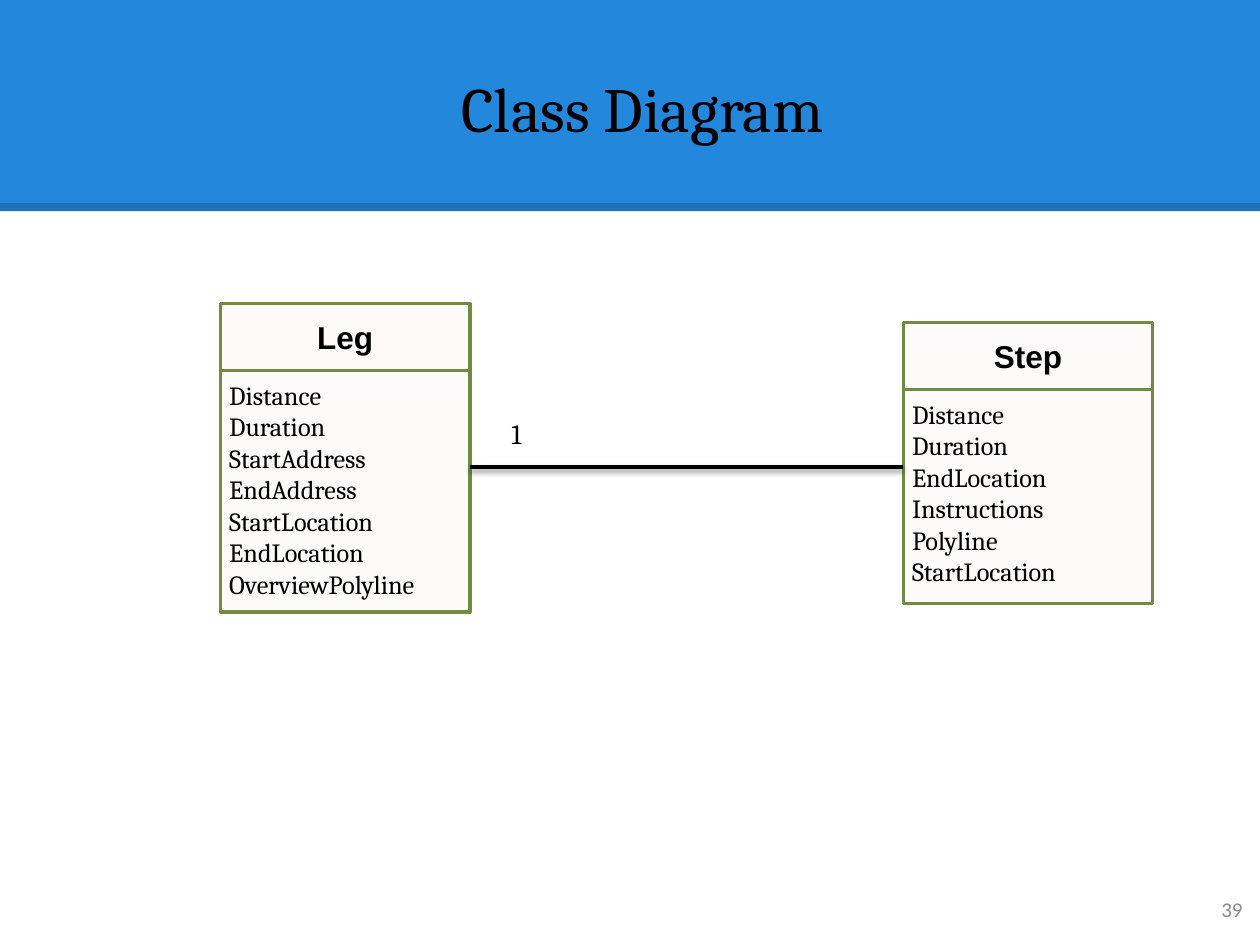
"""Build a class diagram slide that links Leg to Step."""
from lxml import etree
from pptx import Presentation
from pptx.dml.color import RGBColor
from pptx.enum import shapes, text
from pptx.oxml import ns
from pptx.util import Pt

COLOURS = {
    "banner": "2388DB",
    "black": "000000",
    "number": "8C8C8C",
    "class_fill": "FCFBF9",
    "class_line": "738A42",
}
CLASS_WIDTH = 142.5
HEADER_HEIGHT = 38.2
CLASSES = [
    ("Step", 516.2, 184.3, 122.4,
     ["Distance", "Duration", "EndLocation", "Instructions", "Polyline", "StartLocation"]),
    ("Leg", 126, 173.5, 138.2,
     ["Distance", "Duration", "StartAddress", "EndAddress", "StartLocation",
      "EndLocation", "OverviewPolyline"]),
]


def colour(name):
    """Return the named colour."""
    return RGBColor.from_string(COLOURS[name])


def write(shape, lines, size, font="Cambria", ink="black", bold=False,
          align=text.PP_ALIGN.LEFT, anchor=text.MSO_ANCHOR.TOP, inset=7.2, wrap=True):
    """Fill a shape with formatted lines of text."""
    frame = shape.text_frame
    frame.text = "\n".join(lines)
    frame.word_wrap = wrap
    frame.vertical_anchor = anchor
    frame.margin_left = frame.margin_right = Pt(inset)
    frame.margin_top = frame.margin_bottom = Pt(inset)
    for para in frame.paragraphs:
        para.alignment = align
        for span in para.runs:
            span.font.name = font
            span.font.size = Pt(size)
            span.font.bold = bold
            span.font.color.rgb = colour(ink)


def add_text(page, area, lines, size, **style):
    """Add a text box at the given left, top, width and height."""
    box = page.shapes.add_textbox(*map(Pt, area))
    write(box, lines, size, **style)
    return box


def add_box(parent, area, fill, line=None):
    """Add a flat rectangle, outlined if a line colour is given."""
    box = parent.shapes.add_shape(shapes.MSO_SHAPE.RECTANGLE, *map(Pt, area))
    box.shadow.inherit = False
    box.fill.solid()
    box.fill.fore_color.rgb = colour(fill)
    if line:
        box.line.color.rgb = colour(line)
        box.line.width = Pt(2)
    else:
        box.line.fill.background()
    return box


def add_class(page, name, left, top, height, attributes):
    """Add a grouped class with its attributes below its name."""
    group = page.shapes.add_group_shape()
    body = add_box(group, (left, top + HEADER_HEIGHT, CLASS_WIDTH, height),
                   "class_fill", "class_line")
    write(body, attributes, 15, inset=5)
    header = add_box(group, (left, top, CLASS_WIDTH, HEADER_HEIGHT),
                     "class_fill", "class_line")
    write(header, [name], 18, font="Arial", bold=True, inset=5,
          align=text.PP_ALIGN.CENTER, anchor=text.MSO_ANCHOR.MIDDLE)


def set_alpha(parent, percent):
    """Make the RGB colour inside an element partly transparent."""
    tint = parent.find(".//" + ns.qn("a:srgbClr"))
    etree.SubElement(tint, ns.qn("a:alpha"), val=str(percent * 1000))


def add_line(page, left, right, top, width):
    """Add a horizontal black line and return it with its empty effect list."""
    line = page.shapes.add_connector(
        shapes.MSO_CONNECTOR.STRAIGHT, Pt(left), Pt(top), Pt(right), Pt(top))
    line.line.color.rgb = colour("black")
    line.line.width = Pt(width)
    properties = line._element.spPr
    return line, etree.SubElement(properties, ns.qn("a:effectLst"))


def add_shadow(effects):
    """Put a soft shadow below the owner of an effect list."""
    shadow = etree.SubElement(
        effects, ns.qn("a:outerShdw"), blurRad=str(Pt(3.1)), dist=str(Pt(1.6)),
        dir="5400000", rotWithShape="0")
    etree.SubElement(shadow, ns.qn("a:srgbClr"), val=COLOURS["black"])
    set_alpha(shadow, 38)


def add_banner(page):
    """Add the title banner with its darker lower edge."""
    add_box(page, (0, 0, 720, 120.6), "banner")
    edge, _ = add_line(page, 0, 720, 118.4, 4.5)
    set_alpha(edge._element.spPr, 15)


def main():
    """Build and save the slide."""
    deck = Presentation()
    deck.slide_width, deck.slide_height = Pt(720), Pt(540)
    page = deck.slides.add_slide(deck.slide_layouts[6])
    add_banner(page)
    add_text(page, (673.9, 499, 43.2, 41), ["39"], 12, font="Calibri", ink="number",
             align=text.PP_ALIGN.RIGHT, anchor=text.MSO_ANCHOR.MIDDLE)
    add_text(page, (17.3, 23.8, 699.8, 66.2), ["Class Diagram"], 36,
             align=text.PP_ALIGN.CENTER, anchor=text.MSO_ANCHOR.BOTTOM)
    for entry in CLASSES:
        add_class(page, *entry)
    _, effects = add_line(page, 268.5, 516.2, 267, 2)
    add_shadow(effects)
    count = add_text(page, (285.1, 234.7, 31, 26.6), ["1"], 16, wrap=False)
    count.text_frame.margin_top = count.text_frame.margin_bottom = Pt(3.6)
    count.text_frame.auto_size = text.MSO_AUTO_SIZE.SHAPE_TO_FIT_TEXT
    deck.save("out.pptx")


if __name__ == "__main__":
    main()
